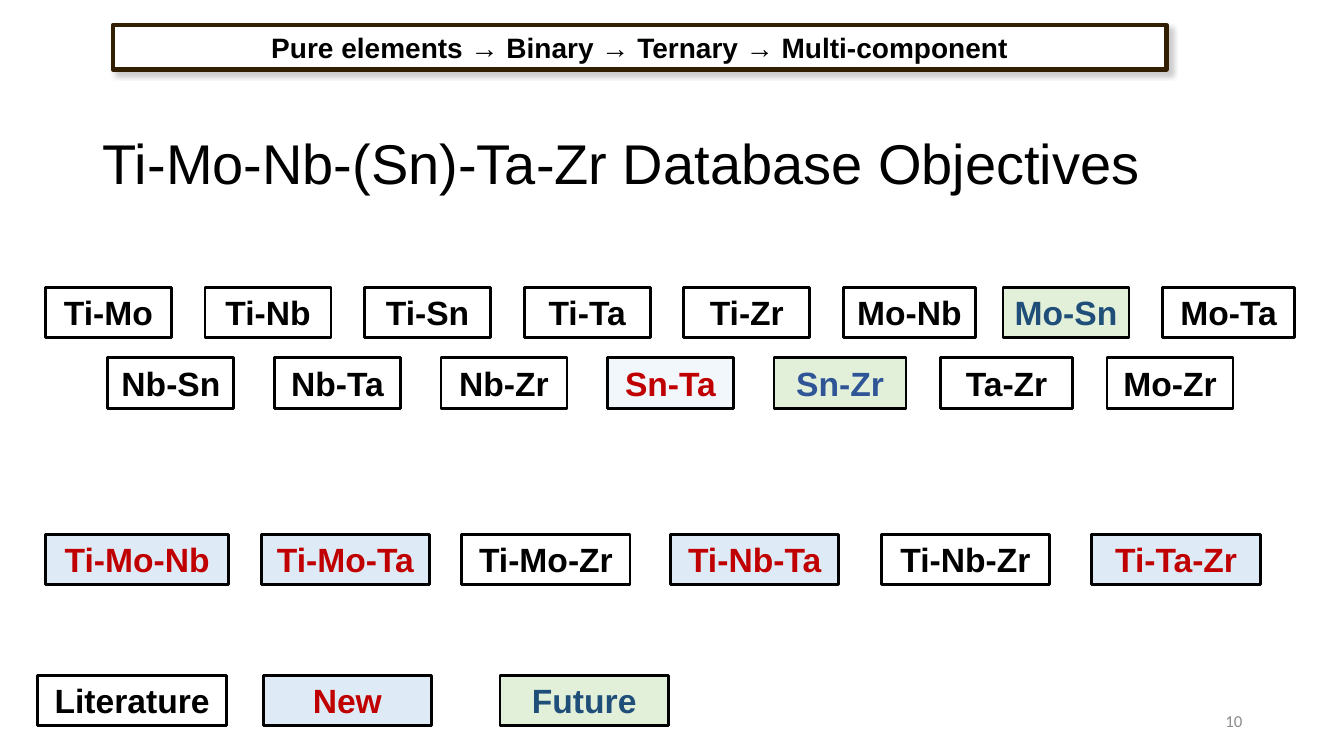
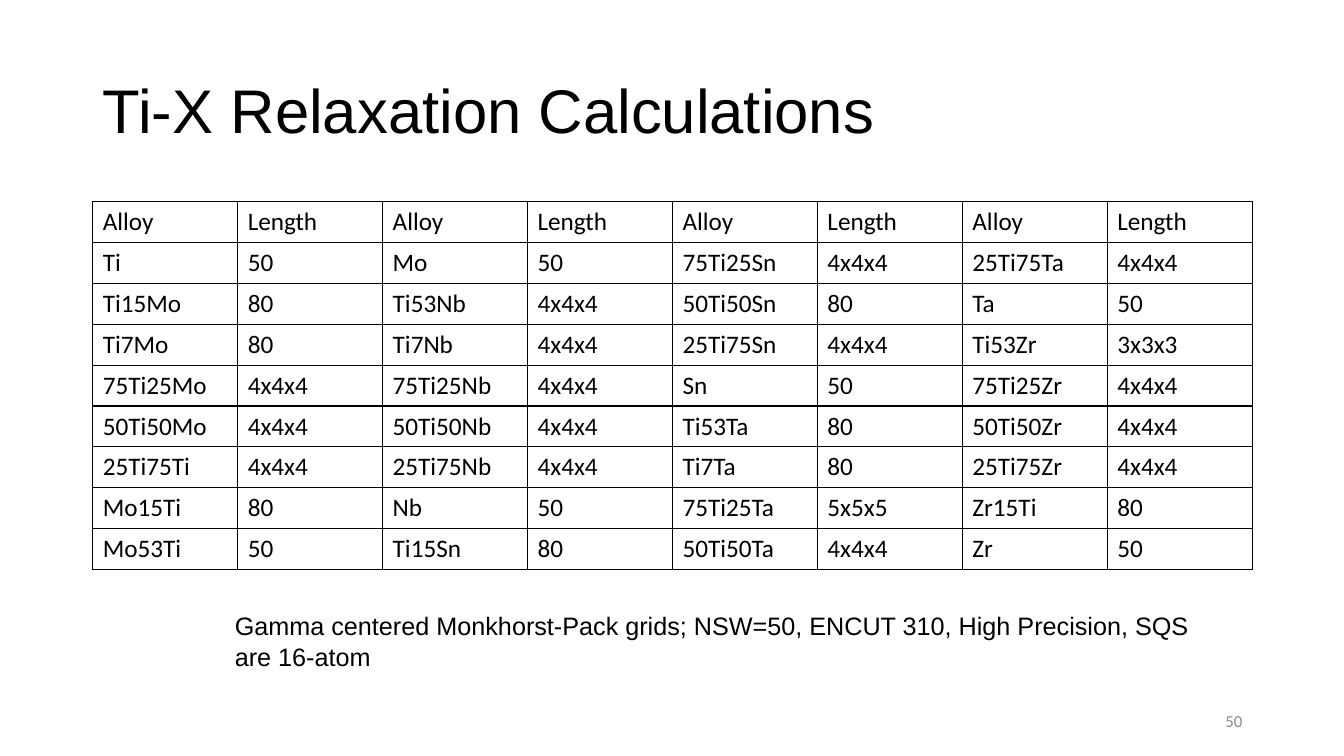
"""Build two slides on a titanium alloy database and its relaxation runs."""
from lxml.etree import SubElement as Sub
from pptx import Presentation
from pptx.dml.color import RGBColor as RGB
from pptx.enum.shapes import MSO_SHAPE as Shape
from pptx.enum.text import MSO_ANCHOR as Anchor, MSO_AUTO_SIZE as Fit, PP_ALIGN as Align
from pptx.oxml.ns import qn
from pptx.util import Emu, Pt

PX = 9144
BLACK = RGB(0x00, 0x00, 0x00)
WHITE = RGB(0xFF, 0xFF, 0xFF)
RED = RGB(0xC0, 0x00, 0x00)
NAVY = RGB(0x1F, 0x4E, 0x79)
BLUE = RGB(0x2F, 0x55, 0x97)
GREEN = RGB(0xE2, 0xF0, 0xD9)
SKY = RGB(0xDE, 0xEB, 0xF7)
PALE = RGB(0xF2, 0xF7, 0xFC)
BROWN = RGB(0x32, 0x1E, 0x00)
GREY = RGB(0x8C, 0x8C, 0x8C)

KNOWN = (WHITE, BLACK)
PLAIN = (None, BLACK)
NEW = (SKY, RED)
FAINT = (PALE, RED)
LATER = (GREEN, NAVY)
LAST = (GREEN, BLUE)

FLOW = "Pure elements → Binary → Ternary → Multi-component"
PAIRS = [
    (285, 45, 1153, [
        ("Ti-Mo", 125, KNOWN), ("Ti-Nb", 125, KNOWN), ("Ti-Sn", 125, KNOWN),
        ("Ti-Ta", 125, KNOWN), ("Ti-Zr", 125, KNOWN), ("Mo-Nb", 131, KNOWN),
        ("Mo-Sn", 125, LATER), ("Mo-Ta", 131, KNOWN)]),
    (355, 107, 1098, [
        ("Nb-Sn", 125, KNOWN), ("Nb-Ta", 125, KNOWN), ("Nb-Zr", 125, KNOWN),
        ("Sn-Ta", 125, FAINT), ("Sn-Zr", 131, LAST), ("Ta-Zr", 131, KNOWN),
        ("Mo-Zr", 125, KNOWN)]),
]
GROUPS = [
    (530, [
        ("Ti-Mo-Nb", 45, 182, NEW), ("Ti-Mo-Ta", 259, 167, NEW),
        ("Ti-Mo-Zr", 458, 167, KNOWN), ("Ti-Nb-Ta", 665, 167, NEW),
        ("Ti-Nb-Zr", 874, 167, KNOWN), ("Ti-Ta-Zr", 1083, 167, NEW)]),
    (670, [
        ("Literature", 37, 188, PLAIN), ("New", 261, 167, NEW),
        ("Future", 496, 167, LATER)]),
]
RUNS = [
    ["Alloy", "Length"] * 4,
    ["Ti", "50", "Mo", "50", "75Ti25Sn", "4x4x4", "25Ti75Ta", "4x4x4"],
    ["Ti15Mo", "80", "Ti53Nb", "4x4x4", "50Ti50Sn", "80", "Ta", "50"],
    ["Ti7Mo", "80", "Ti7Nb", "4x4x4", "25Ti75Sn", "4x4x4", "Ti53Zr", "3x3x3"],
    ["75Ti25Mo", "4x4x4", "75Ti25Nb", "4x4x4", "Sn", "50", "75Ti25Zr", "4x4x4"],
    ["50Ti50Mo", "4x4x4", "50Ti50Nb", "4x4x4", "Ti53Ta", "80", "50Ti50Zr", "4x4x4"],
    ["25Ti75Ti", "4x4x4", "25Ti75Nb", "4x4x4", "Ti7Ta", "80", "25Ti75Zr", "4x4x4"],
    ["Mo15Ti", "80", "Nb", "50", "75Ti25Ta", "5x5x5", "Zr15Ti", "80"],
    ["Mo53Ti", "50", "Ti15Sn", "80", "50Ti50Ta", "4x4x4", "Zr", "50"],
]
NOTE = ("Gamma centered Monkhorst-Pack grids; NSW=50, ENCUT 310, "
        "High Precision, SQS are 16-atom")


def px(*vals):
    return [Emu(round(v * PX)) for v in vals]


def write(frame, text, size, color=BLACK, name="Arial", bold=False, align=Align.LEFT):
    frame.text = text
    para = frame.paragraphs[0]
    para.alignment = align
    font = para.font
    font.size, font.name, font.bold = Pt(size), name, bold
    font.color.rgb = color
    return para


def add_page(deck, title, top, size, num):
    slide = deck.slides.add_slide(deck.slide_layouts[5])
    head = slide.shapes.title
    head.left, head.top, head.width, head.height = px(92, top, 1150, 145)
    frame = head.text_frame
    write(frame, title, size).line_spacing = 0.9
    frame.auto_size = Fit.NONE
    frame.vertical_anchor = Anchor.MIDDLE
    add_text(slide, (942, 695, 300, 40), str(num), 12, GREY, "Calibri",
             align=Align.RIGHT).vertical_anchor = Anchor.MIDDLE
    return slide


def add_text(slide, area, text, size, *style, **more):
    frame = slide.shapes.add_textbox(*px(*area)).text_frame
    frame.word_wrap = True
    write(frame, text, size, *style, **more)
    return frame


def add_box(slide, area, text, look, size=24, edge=BLACK, wide=2):
    fill, ink = look
    box = slide.shapes.add_shape(Shape.RECTANGLE, *px(*area))
    box.shadow.inherit = False
    if fill is None:
        box.fill.background()
    else:
        box.fill.solid()
        box.fill.fore_color.rgb = fill
    box.line.color.rgb = edge
    box.line.width = Pt(wide)
    frame = box.text_frame
    frame.word_wrap = False
    frame.vertical_anchor = Anchor.MIDDLE
    write(frame, text, size, ink, bold=True, align=Align.CENTER)
    return box


def add_shade(box):
    effect = box._element.spPr.find(qn("a:effectLst"))
    shade = Sub(effect, qn("a:outerShdw"), blurRad=str(Pt(4)), dist=str(Pt(3)),
                dir="2700000", algn="tl", rotWithShape="0")
    tint = Sub(shade, qn("a:srgbClr"), val="808080")
    Sub(tint, qn("a:alpha"), val="40000")


def add_edges(cell):
    props = cell._tc.get_or_add_tcPr()
    for side in "LRTB":
        line = Sub(props, qn(f"a:ln{side}"), w=str(Pt(1)))
        paint = Sub(line, qn("a:solidFill"))
        Sub(paint, qn("a:srgbClr"), val=str(BLACK))


def add_grid(slide, rows, area):
    grid = slide.shapes.add_table(len(rows), len(rows[0]), *px(*area)).table
    grid.first_row = grid.horz_banding = False
    for r, row in enumerate(rows):
        for c, text in enumerate(row):
            cell = grid.cell(r, c)
            add_edges(cell)
            cell.fill.background()
            write(cell.text_frame, text, 18, name="Calibri")


def main():
    deck = Presentation()
    deck.slide_width, deck.slide_height = px(1333, 750)

    goals = add_page(deck, "Ti-Mo-Nb-(Sn)-Ta-Zr Database Objectives", 93, 40, 10)
    add_shade(add_box(goals, (112, 25, 1045, 44), FLOW, KNOWN, 20, BROWN, 3))
    for top, first, last, items in PAIRS:
        step = (last - first) / (len(items) - 1)
        for i, (text, width, look) in enumerate(items):
            add_box(goals, (first + i * step, top, width, 50), text, look)
    for top, items in GROUPS:
        for text, left, width, look in items:
            add_box(goals, (left, top, width, 50), text, look)

    runs = add_page(deck, "Ti-X Relaxation Calculations", 40, 44, 50)
    add_grid(runs, RUNS, (92, 200, 1150, 365))
    add_text(runs, (223, 601, 981, 71), NOTE, 18)

    deck.save("out.pptx")


if __name__ == "__main__":
    main()
